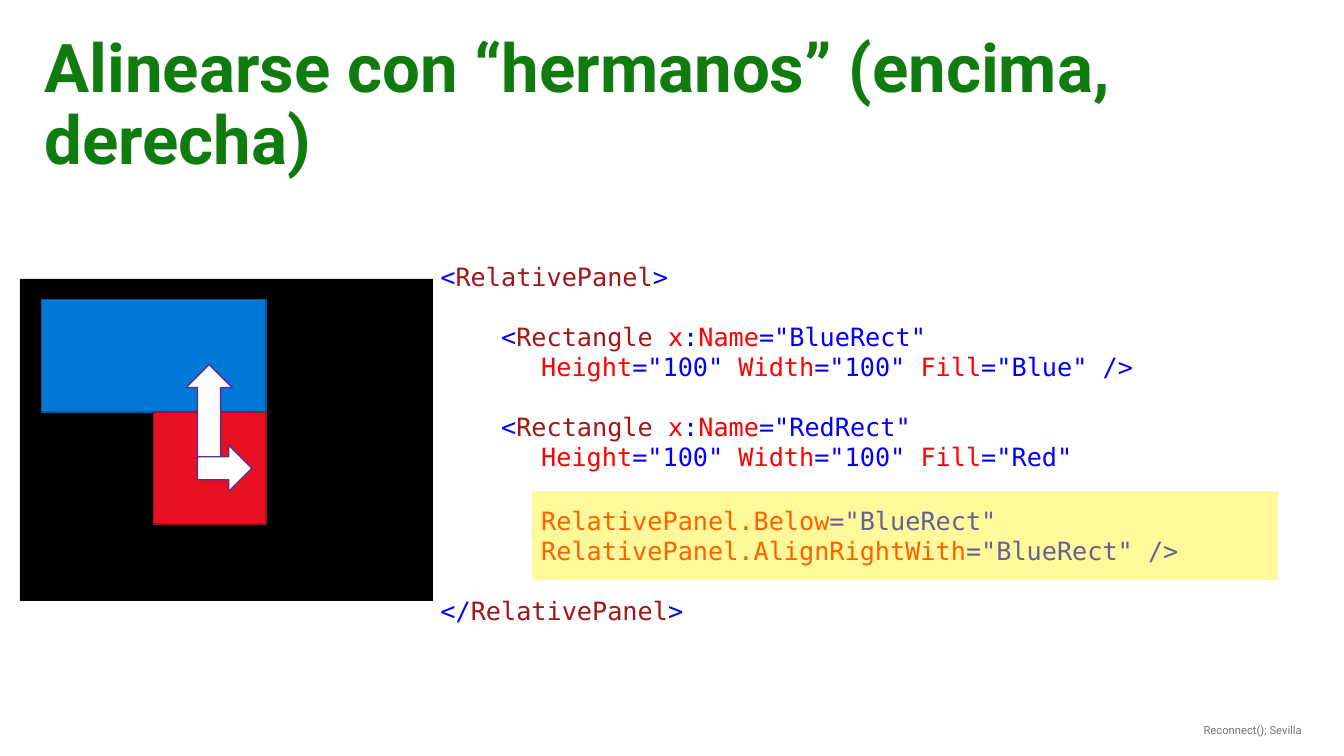
from lxml import etree
from pptx import Presentation
from pptx.dml.color import RGBColor
from pptx.enum.shapes import MSO_SHAPE
from pptx.enum.text import MSO_ANCHOR, PP_ALIGN
from pptx.oxml.ns import qn
from pptx.util import Pt

RECTANGLE = MSO_SHAPE.RECTANGLE
UP_ARROW = MSO_SHAPE.UP_ARROW
RIGHT_ARROW = MSO_SHAPE.RIGHT_ARROW
TOP, MIDDLE = MSO_ANCHOR.TOP, MSO_ANCHOR.MIDDLE
LEFT, CENTER = PP_ALIGN.LEFT, PP_ALIGN.CENTER

TITLE = "Alinearse con “hermanos” (encima, derecha)"
FOOTER = "Reconnect(); Sevilla"

SYMBOL, ELEMENT, ATTRIBUTE = "0000FF", "A31515", "FF0000"
LINE_HEIGHT, CODE_INDENT = 21.5, 72

# Each code line: space before, left indent, (text, colour) runs
CODE = [
    (0, 0, [("<", SYMBOL), ("RelativePanel", ELEMENT), (">", SYMBOL)]),
    (LINE_HEIGHT, 0, [
        ("    <", SYMBOL), ("Rectangle", ELEMENT), (" x", ATTRIBUTE), (":", SYMBOL),
        ("Name", ATTRIBUTE), ('="BlueRect"', SYMBOL)]),
    (0, CODE_INDENT, [
        ("Height", ATTRIBUTE), ('="100"', SYMBOL), (" Width", ATTRIBUTE),
        ('="100"', SYMBOL), (" Fill", ATTRIBUTE), ('="Blue" />', SYMBOL)]),
    (LINE_HEIGHT, 0, [
        ("    <", SYMBOL), ("Rectangle", ELEMENT), (" x", ATTRIBUTE), (":", SYMBOL),
        ("Name", ATTRIBUTE), ('="RedRect"', SYMBOL)]),
    (0, CODE_INDENT, [
        ("Height", ATTRIBUTE), ('="100"', SYMBOL), (" Width", ATTRIBUTE),
        ('="100"', SYMBOL), (" Fill", ATTRIBUTE), ('="Red"', SYMBOL)]),
    (24, CODE_INDENT, [("RelativePanel.Below", ATTRIBUTE), ('="BlueRect"', SYMBOL)]),
    (0, CODE_INDENT, [
        ("RelativePanel.AlignRightWith", ATTRIBUTE), ('="BlueRect" />', SYMBOL)]),
    (LINE_HEIGHT, 0, [("</", SYMBOL), ("RelativePanel", ELEMENT), (">", SYMBOL)]),
]

UNIT = 80.2  # side of the red square; the blue rectangle is two units wide
BLUE_LEFT, BLUE_TOP = 29.5, 214

# Preset, (left, top, width, height), fill, line, opacity in percent
SHAPES = [
    (RECTANGLE, (14.2, 199.2, 295, 230), "000000", None, 100),
    (RECTANGLE, (BLUE_LEFT, BLUE_TOP, 2 * UNIT, UNIT), "0078D7", "00599F", 100),
    (RECTANGLE, (BLUE_LEFT + UNIT, BLUE_TOP + UNIT, UNIT, UNIT), "E81123", "AC0D1A", 100),
    (UP_ARROW, (132.9, 260.4, 33, 66.6), "FFFFFF", "5C2D91", 100),
    (RIGHT_ARROW, (141, 318, 38.9, 33), "FFFFFF", "5C2D91", 100),
    (RECTANGLE, (380, 351, 533, 63.3), "FFF100", None, 40),
]


def color(hex_code):
    return RGBColor.from_string(hex_code)


def add_text_box(slide, box, margins, anchor):
    frame = slide.shapes.add_textbox(*map(Pt, box)).text_frame
    frame.word_wrap = True
    frame.vertical_anchor = anchor
    frame.margin_left = frame.margin_right = Pt(margins[0])
    frame.margin_top = frame.margin_bottom = Pt(margins[1])
    return frame


def set_font(paragraph, name, size, hex_code=None, bold=False):
    font = paragraph.font
    font.name, font.size, font.bold = name, Pt(size), bold
    if hex_code:
        font.color.rgb = color(hex_code)


def add_label(slide, text, box, margins, size, hex_code, align, bold=False, spacing=1.0):
    paragraph = add_text_box(slide, box, margins, TOP).paragraphs[0]
    paragraph.text = text
    paragraph.alignment = align
    paragraph.line_spacing = spacing
    set_font(paragraph, "Roboto", size, hex_code, bold)


def add_code(slide, lines, box):
    frame = add_text_box(slide, box, (10.8, 8.6), MIDDLE)
    for index, (space_before, indent, runs) in enumerate(lines):
        paragraph = frame.add_paragraph() if index else frame.paragraphs[0]
        paragraph.line_spacing = Pt(LINE_HEIGHT)
        paragraph.space_before = Pt(space_before)
        paragraph._p.get_or_add_pPr().set("marL", str(Pt(indent)))
        set_font(paragraph, "DejaVu Sans Mono", 18)
        for text, hex_code in runs:
            run = paragraph.add_run()
            run.text = text
            run.font.color.rgb = color(hex_code)


def add_figure(slide, preset, box, fill, line, opacity):
    shape = slide.shapes.add_shape(preset, *map(Pt, box))
    shape.shadow.inherit = False
    shape.fill.solid()
    shape.fill.fore_color.rgb = color(fill)
    if opacity < 100:
        fill_color = shape._element.spPr.find(qn("a:solidFill"))[0]
        etree.SubElement(fill_color, qn("a:alpha")).set("val", str(opacity * 1000))
    if line:
        shape.line.color.rgb = color(line)
        shape.line.width = Pt(1)
    else:
        shape.line.fill.background()


def main():
    presentation = Presentation()
    presentation.slide_width, presentation.slide_height = Pt(960), Pt(540)
    slide = presentation.slides.add_slide(presentation.slide_layouts[6])
    add_label(slide, FOOTER, (829.4, 513.4, 131, 23.8), (7.2, 3.6), 8, "737373", CENTER)
    add_label(slide, TITLE, (21, 15.8, 917.3, 77), (10.8, 8.6), 48, "107C10", LEFT,
              bold=True, spacing=0.9)
    add_code(slide, CODE, (303.8, 93.6, 656.2, 446.4))
    for figure in SHAPES:
        add_figure(slide, *figure)
    presentation.save("out.pptx")


if __name__ == "__main__":
    main()
